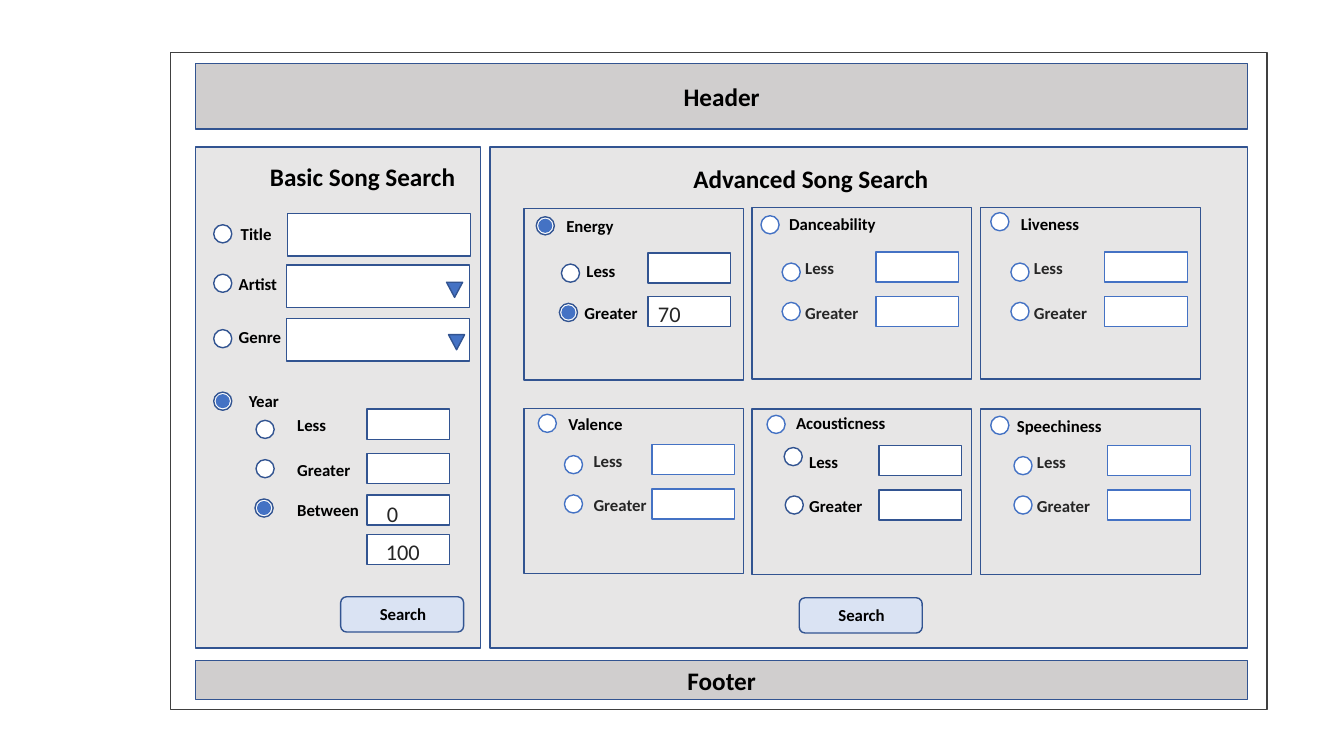
from dataclasses import dataclass
from typing import Optional

from pptx import Presentation
from pptx import util as u
from pptx.dml import color
from pptx.enum import shapes, text

KIND = shapes.MSO_SHAPE
BLUE, NAVY, BLACK, CHARCOAL = "4472C4", "325491", "000000", "262626"
WHITE, PANEL, BAR, BUTTON, FRAME = "FFFFFF", "E7E6E6", "D0CECE", "DAE3F3", "404040"
FIELD_W, FIELD_H = 0.82, 0.3
ROW_GAP, RADIO_GAP = 0.44, 0.39
RADIO, DOT = 0.18, 0.14

Point = tuple[float, float]


@dataclass
class Option:
    """A radio button with its label and, if any, a small input field."""
    label: str
    radio: Point
    label_at: Point
    field: Optional[Point] = None
    checked: bool = False
    line: str = NAVY
    ink: str = BLACK


@dataclass
class Card:
    at: Point
    height: float
    heading: Option
    options: list[Option]


def cm(inches: float) -> u.Length:
    return u.Cm(inches * 2.54)


def rgb(value: str) -> color.RGBColor:
    return color.RGBColor.from_string(value)


def add_box(page, kind, at: Point, size: Point, fill: Optional[str] = None,
            line: Optional[str] = NAVY):
    box = page.shapes.add_shape(kind, *map(cm, (*at, *size)))
    box.shadow.inherit = False
    if fill:
        box.fill.solid()
        box.fill.fore_color.rgb = rgb(fill)
    else:
        box.fill.background()
    if line:
        box.line.color.rgb = rgb(line)
        box.line.width = u.Pt(1)
    else:
        box.line.fill.background()
    return box


def write(box, words: str, size: int, ink: str = BLACK, bold: bool = True):
    box.text_frame.text = words
    box.text_frame.word_wrap = True
    para = box.text_frame.paragraphs[0]
    span = para.runs[0]
    span.font.name, span.font.size, span.font.bold = "Calibri", u.Pt(size), bold
    span.font.color.rgb = rgb(ink)
    return para


def add_label(page, words: str, at: Point, width: float = 1.52, size: int = 12,
              ink: str = BLACK, bold: bool = True) -> None:
    height = {12: 0.3, 16: 0.37, 18: 0.4}[size]
    box = page.shapes.add_textbox(*map(cm, (*at, width, height)))
    write(box, words, size, ink, bold)


def add_bar(page, words: str, top: float, height: float) -> None:
    box = add_box(page, KIND.RECTANGLE, (1.94, top), (10.44, height), BAR)
    box.text_frame.vertical_anchor = text.MSO_ANCHOR.MIDDLE
    write(box, words, 18).alignment = text.PP_ALIGN.CENTER


def add_button(page, at: Point) -> None:
    add_box(page, KIND.ROUNDED_RECTANGLE, at, (1.22, 0.35), BUTTON)
    add_label(page, "Search", (at[0] + 0.29, at[1] + 0.02), 1.07)


def add_field(page, at: Point, line: str = NAVY) -> None:
    add_box(page, KIND.RECTANGLE, at, (FIELD_W, FIELD_H), WHITE, line)


def add_option(page, option: Option) -> None:
    if option.field:
        add_field(page, option.field, option.line)
    add_label(page, option.label, option.label_at, ink=option.ink)
    add_box(page, KIND.OVAL, option.radio, (RADIO, RADIO), WHITE, option.line)
    if option.checked:
        inset = (RADIO - DOT) / 2
        dot_at = (option.radio[0] + inset, option.radio[1] + inset)
        add_box(page, KIND.OVAL, dot_at, (DOT, DOT), BLUE, None)


def limits(x: float, y: float, label_dx: float = 0.8, radio_dx: float = 0.93) -> list[Option]:
    """Less and Greater rows, laid out from the first field's corner."""
    return [Option(name, (x - radio_dx, y + 0.11 + row * RADIO_GAP),
                   (x - label_dx, y + 0.01 + row * ROW_GAP), (x, y + row * ROW_GAP),
                   line=BLUE, ink=CHARCOAL)
            for row, name in enumerate(("Less", "Greater"))]


TOP_H, LOW_H = 1.7, 1.64
CARDS = [
    Card((5.2, 2.07), TOP_H, Option("Energy", (5.32, 2.15), (5.52, 2.09), checked=True), [
        Option("Less", (5.57, 2.62), (5.72, 2.54), (6.43, 2.51)),
        Option("Greater", (5.55, 3.01), (5.7, 2.95), (6.43, 2.94), checked=True)]),
    Card((7.46, 2.06), TOP_H, Option("Danceability", (7.55, 2.14), (7.73, 2.07), line=BLUE),
         limits(8.69, 2.5)),
    Card((9.73, 2.06), TOP_H, Option("Liveness", (9.83, 2.11), (10.03, 2.07), line=BLUE),
         limits(10.96, 2.5)),
    Card((5.2, 4.05), LOW_H, Option("Valence", (5.34, 4.11), (5.54, 4.06), line=BLUE),
         limits(6.47, 4.41, 0.68, 0.87)),
    Card((7.46, 4.06), LOW_H, Option("Acousticness", (7.61, 4.12), (7.8, 4.05), line=BLUE), [
        Option("Less", (7.78, 4.44), (7.93, 4.43), (8.72, 4.42)),
        Option("Greater", (7.79, 4.92), (7.93, 4.87), (8.72, 4.86))]),
    Card((9.73, 4.06), LOW_H, Option("Speechiness", (9.83, 4.13), (9.99, 4.08), line=BLUE),
         limits(10.99, 4.42)),
]
BASIC_OPTIONS = [
    Option("Title", (2.12, 2.23), (2.29, 2.17)),
    Option("Artist", (2.12, 2.72), (2.27, 2.67)),
    Option("Genre", (2.12, 3.27), (2.27, 3.19)),
    Option("Year", (2.12, 3.89), (2.37, 3.83), checked=True),
    Option("Less", (2.54, 4.17), (2.85, 4.07), (3.64, 4.06)),
    Option("Greater", (2.54, 4.56), (2.85, 4.51), (3.64, 4.5)),
    Option("Between", (2.53, 4.95), (2.85, 4.91), (3.64, 4.91), checked=True),
]
WIDE_FIELDS = [(2.85, 2.12), (2.84, 2.63), (2.84, 3.16)]
DROP_ARROWS = [(4.43, 2.8), (4.45, 3.32)]
ENTRIES = [("0", (3.74, 4.91)), ("100", (3.73, 5.29)), ("70", (6.43, 2.93))]


def main() -> None:
    deck = Presentation()
    deck.slide_width, deck.slide_height = u.Cm(33.87), u.Cm(19.05)
    page = deck.slides.add_slide(deck.slide_layouts[6])

    # Window frame, header and footer
    add_box(page, KIND.RECTANGLE, (1.69, 0.52), (10.88, 6.52), line=FRAME)
    add_bar(page, "Header", 0.63, 0.65)
    add_bar(page, "Footer", 6.55, 0.39)

    # Basic search panel
    add_box(page, KIND.RECTANGLE, (1.94, 1.46), (2.83, 4.97), PANEL)
    add_label(page, "Basic Song Search", (2.58, 1.55), 2.61, 18)
    for at in WIDE_FIELDS:
        add_box(page, KIND.RECTANGLE, at, (1.82, 0.42), WHITE)
    for at in DROP_ARROWS:
        add_box(page, KIND.ISOSCELES_TRIANGLE, at, (0.16, 0.15), BLUE).rotation = 180
    for option in BASIC_OPTIONS:
        add_option(page, option)
    add_field(page, (3.64, 5.3))
    add_button(page, (3.38, 5.92))

    # Advanced search panel
    add_box(page, KIND.RECTANGLE, (4.86, 1.46), (7.52, 4.97), PANEL)
    add_label(page, "Advanced Song Search", (6.78, 1.57), 2.61, 18)
    for card in CARDS:
        add_box(page, KIND.RECTANGLE, card.at, (2.18, card.height))
        for option in (card.heading, *card.options):
            add_option(page, option)
    add_button(page, (7.93, 5.93))

    # Typed values
    for words, at in ENTRIES:
        add_label(page, words, at, 0.73, 16, CHARCOAL, bold=False)

    deck.save("out.pptx")


if __name__ == "__main__":
    main()
